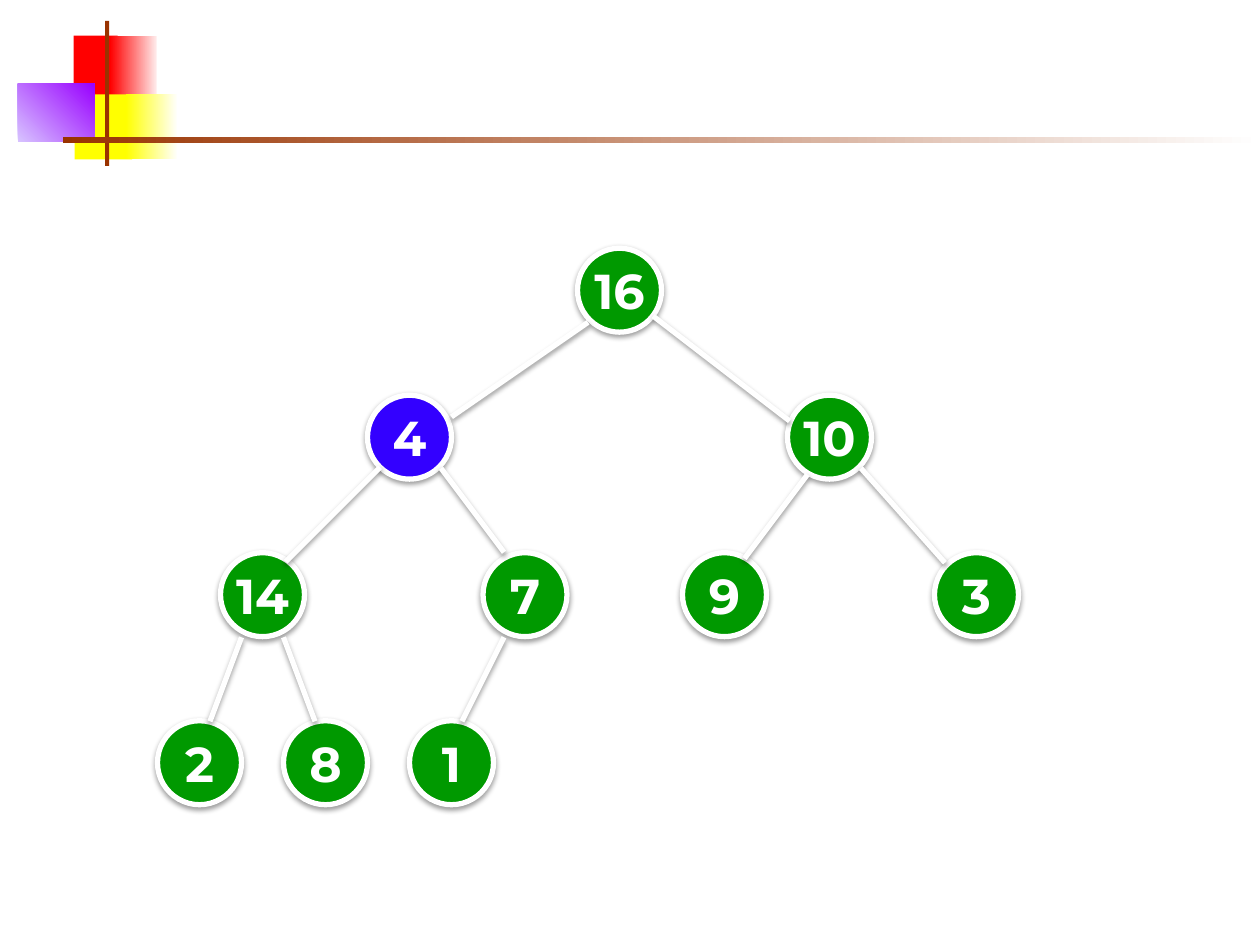
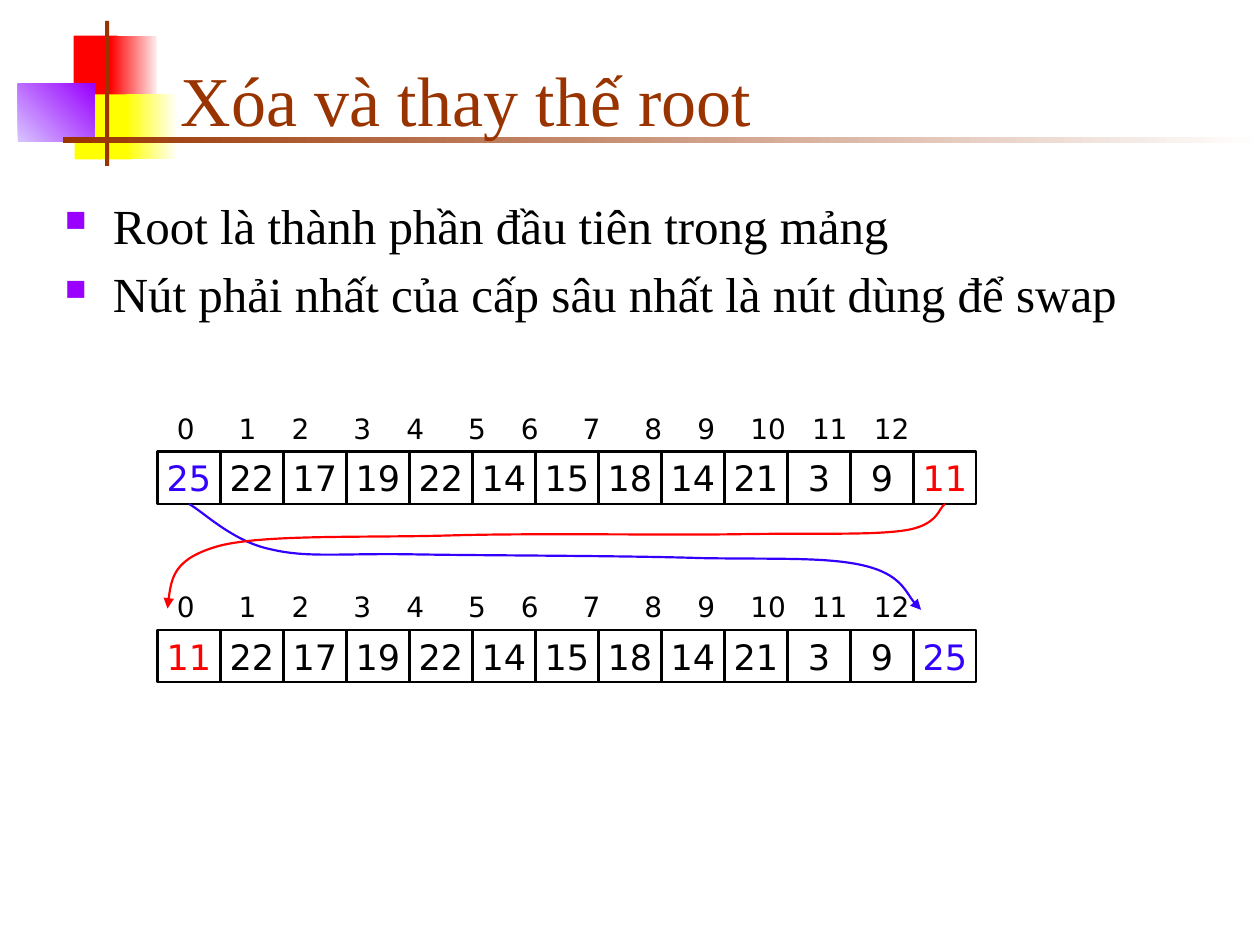
from itertools import accumulate

from lxml.etree import SubElement
from pptx import Presentation
from pptx.dml.color import RGBColor
from pptx.enum.shapes import MSO_CONNECTOR as CONNECTOR, MSO_SHAPE as SHAPE
from pptx.enum.text import MSO_ANCHOR as ANCHOR, MSO_AUTO_SIZE as AUTO_SIZE, PP_ALIGN as ALIGN
from pptx.oxml.ns import qn
from pptx.util import Inches, Pt

# The slide is a grid of 120 columns by 90 rows
COLUMNS, ROWS = 120, 90
WIDTH, HEIGHT = Inches(10), Inches(7.5)

WHITE, BLACK, RED, BLUE = "FFFFFF", "000000", "FF0000", "3300FF"
GREEN, BROWN, YELLOW, PURPLE = "009900", "993300", "FFFF00", "9900FF"
SERIF, SANS, ROUND = "Times New Roman", "DejaVu Sans", "Montserrat"

# Decoration: column, row, width, height, colours, angle
BANDS = [
    (7, 3.4, 4.2, 6.2, [RED], 0),
    (10.5, 3.4, 4.4, 6.2, [RED, "FFEAEA"], 0),
    (7.1, 9, 5.5, 6.2, [YELLOW], 0),
    (12, 9, 4.8, 6.2, [YELLOW, "FFFFF8"], 0),
    (1.7, 8, 7.3, 5.5, ["D8C4FF", PURPLE], 45),
    (10, 2, 0.4, 13.8, [BROWN], 0),
    (6, 13, 114, 0.6, [BROWN, WHITE], 0),
]

# Heap levels: top row, then value and left column of each node
NODE_SIZE = 8
LEVELS = [
    (23.64, [(16, 55)]),
    (37.64, [(4, 35), (10, 75)]),
    (52.64, [(9, 65), (3, 89), (14, 21), (7, 46)]),
    (68.64, [(2, 15), (8, 27), (1, 39)]),
]
EDGES = [
    ((43, 39.7), (56, 30.7)), ((62.2, 30.1), (75.2, 40.1)),
    ((36.2, 44.5), (27.2, 53.5)), ((42, 44.6), (48, 52.6)),
    ((76.9, 45.2), (70.9, 53.2)), ((82, 44.6), (90, 53.6)),
    ((23, 60.7), (20, 68.7)), ((27, 60.7), (30, 68.7)),
    ((48, 60.7), (44, 68.7)),
]

# Arrays before and after the swap
MIDDLE = [22, 17, 19, 22, 14, 15, 18, 14, 21, 3, 9]
CELL_LEFT, CELL_WIDTH, CELL_HEIGHT = 15, 6, 5
# Index labels: each gap is counted in space widths
LABEL_GAPS = [5, 4, 5, 4, 5, 4, 5, 5, 4, 4, 3, 3]
SPACE, DIGIT = 0.07, 0.14

# Swap curves in inches: a start, then three points for each Bezier piece
BLUE_CURVE = [
    (1.5, 4), (1.61, 4.06), (1.85, 4.3), (2.15, 4.36),
    (2.44, 4.43), (2.71, 4.39), (3.28, 4.4), (3.85, 4.41), (4.98, 4.41), (5.57, 4.43),
    (6.17, 4.44), (6.57, 4.42), (6.86, 4.49), (7.15, 4.56), (7.22, 4.77), (7.31, 4.84),
]
RED_CURVE = [
    (7.5, 4), (7.45, 4.03), (7.45, 4.17), (7.18, 4.21),
    (6.91, 4.25), (6.47, 4.23), (5.88, 4.24), (5.28, 4.25), (4.27, 4.23), (3.58, 4.25),
    (2.9, 4.27), (2.12, 4.24), (1.75, 4.33), (1.38, 4.43), (1.35, 4.63), (1.33, 4.83),
]


def colour(code):
    return RGBColor.from_string(code)


def col(count):
    return round(WIDTH * count / COLUMNS)


def row(count):
    return round(HEIGHT * count / ROWS)


def area(left, top, width, height):
    return col(left), row(top), col(width), row(height)


def add_span(para, text, size, font, code, bold=False):
    span = para.add_run()
    span.text = text
    span.font.size, span.font.name, span.font.bold = Pt(size), font, bold
    span.font.color.rgb = colour(code)


def set_line(shape, code, width):
    shape.line.color.rgb = colour(code)
    shape.line.width = Pt(width)


def add_shadow(shape):
    """Give a soft shadow that falls straight down."""
    effects = SubElement(shape._element.spPr, qn("a:effectLst"))
    shadow = SubElement(effects, qn("a:outerShdw"), blurRad=str(Pt(3.1)),
                        dist=str(Pt(1.6)), dir="5400000", rotWithShape="0")
    black = SubElement(shadow, qn("a:srgbClr"), val=BLACK)
    SubElement(black, qn("a:alpha"), val="38000")


def add_band(shapes, place, codes, angle):
    band = shapes.add_shape(SHAPE.RECTANGLE, *area(*place))
    band.shadow.inherit = False
    band.line.fill.background()
    if len(codes) == 1:
        band.fill.solid()
        band.fill.fore_color.rgb = colour(codes[0])
    else:
        band.fill.gradient()
        band.fill.gradient_angle = angle
        for stop, code in zip(band.fill.gradient_stops, codes):
            stop.color.rgb = colour(code)
    return band


def decorate_master(deck, page):
    """Draw the bands on a page and move them to the shared master."""
    tree = deck.slide_master.shapes._spTree
    for number, (*place, codes, angle) in enumerate(BANDS, start=101):
        band = add_band(page.shapes, place, codes, angle)
        band._element.nvSpPr.cNvPr.set("id", str(number))
        tree.append(band._element)


def centre_text(shape, text, *style):
    frame = shape.text_frame
    frame.word_wrap = False
    frame.vertical_anchor = ANCHOR.MIDDLE
    para = frame.paragraphs[0]
    para.alignment = ALIGN.CENTER
    add_span(para, text, *style)


# Heap tree
def add_node(page, value, left, top, code):
    node = page.shapes.add_shape(SHAPE.OVAL, *area(left, top, NODE_SIZE, NODE_SIZE))
    node.fill.solid()
    node.fill.fore_color.rgb = colour(code)
    set_line(node, WHITE, 3)
    add_shadow(node)
    centre_text(node, str(value), 28, ROUND, WHITE, True)


def add_edge(page, start, end):
    edge = page.shapes.add_connector(
        CONNECTOR.STRAIGHT, col(start[0]), row(start[1]), col(end[0]), row(end[1]))
    set_line(edge, WHITE, 3)
    add_shadow(edge)


def draw_heap(page):
    for top, nodes in LEVELS:
        for value, left in nodes:
            add_node(page, value, left, top, BLUE if value == 4 else GREEN)
    for start, end in EDGES:
        add_edge(page, start, end)


# Title and bullets
def set_title(page, text):
    title = page.shapes.title
    title.left, title.top, title.width, title.height = area(16, 3, 102.2, 11)
    frame = title.text_frame
    frame.auto_size = AUTO_SIZE.NONE
    frame.vertical_anchor = ANCHOR.BOTTOM
    para = frame.paragraphs[0]
    para.alignment = ALIGN.LEFT
    add_span(para, text, 40, SERIF, BROWN)


def set_bullet(para):
    props = para._p.get_or_add_pPr()
    props.set("marL", str(Inches(0.38)))
    props.set("indent", str(Inches(-0.38)))
    before = SubElement(props, qn("a:spcBef"))
    SubElement(before, qn("a:spcPct"), val="20000")
    tint = SubElement(props, qn("a:buClr"))
    SubElement(tint, qn("a:srgbClr"), val=PURPLE)
    SubElement(props, qn("a:buSzPct"), val="60000")
    SubElement(props, qn("a:buChar"), char="■")


def add_bullets(page, lines):
    frame = page.shapes.add_textbox(*area(5, 18, 112.5, 62.5)).text_frame
    frame.word_wrap = True
    for number, line in enumerate(lines):
        para = frame.add_paragraph() if number else frame.paragraphs[0]
        set_bullet(para)
        add_span(para, line, 28, SERIF, BLACK)


# Arrays
def add_labels(shapes, top):
    """Write the indexes on tab stops, spaced by the label gaps."""
    frame = shapes.add_textbox(*area(14, top, 83, 4.4)).text_frame
    frame.word_wrap = True
    para = frame.paragraphs[0]
    tabs = SubElement(para._p.get_or_add_pPr(), qn("a:tabLst"))
    steps = [gap * SPACE + DIGIT * len(str(index)) for index, gap in enumerate(LABEL_GAPS)]
    for stop in accumulate(steps, initial=2 * SPACE):
        SubElement(tabs, qn("a:tab"), pos=str(Inches(stop)), algn="l")
    text = "".join(f"\t{index}" for index in range(len(LABEL_GAPS) + 1))
    add_span(para, text, 16, SANS, BLACK)


def add_array(shapes, top, values):
    ink = {25: BLUE, 11: RED}
    for index, value in enumerate(values):
        place = area(CELL_LEFT + index * CELL_WIDTH, top, CELL_WIDTH, CELL_HEIGHT)
        cell = shapes.add_shape(SHAPE.RECTANGLE, *place)
        cell.shadow.inherit = False
        cell.fill.background()
        set_line(cell, BLACK, 1.25)
        centre_text(cell, str(value), 20, SANS, ink.get(value, BLACK))
    add_labels(shapes, top - 4.4)


def add_curve(shapes, points, code):
    """Build an outline and join each three line pieces into one Bezier."""
    start, *rest = [(Inches(x), Inches(y)) for x, y in points]
    builder = shapes.build_freeform(*start)
    builder.add_line_segments(rest, close=False)
    curve = builder.convert_to_shape()
    curve.shadow.inherit = False
    curve.fill.background()
    set_line(curve, code, 1.25)
    SubElement(curve.line._get_or_add_ln(), qn("a:tailEnd"), type="triangle")
    outline = curve._element.xpath(".//a:path")[0]
    pieces = outline.findall(qn("a:lnTo"))
    for first in range(0, len(pieces), 3):
        bezier = SubElement(outline, qn("a:cubicBezTo"))
        for piece in pieces[first:first + 3]:
            bezier.append(piece[0])
            outline.remove(piece)


def draw_swap(page):
    set_title(page, "Xóa và thay thế root")
    add_bullets(page, [
        "Root là thành phần đầu tiên trong mảng",
        "Nút phải nhất của cấp sâu nhất là nút dùng để swap",
    ])
    before = page.shapes.add_group_shape().shapes
    add_array(before, 43, [25, *MIDDLE, 11])
    after = page.shapes.add_group_shape().shapes
    add_array(after, 60, [11, *MIDDLE, 25])
    add_curve(after, BLUE_CURVE, BLUE)
    add_curve(after, RED_CURVE, RED)


def main():
    deck = Presentation()
    deck.slide_width, deck.slide_height = WIDTH, HEIGHT
    title_only, blank = deck.slide_layouts[5], deck.slide_layouts[6]
    heap_page = deck.slides.add_slide(blank)
    decorate_master(deck, heap_page)
    draw_heap(heap_page)
    draw_swap(deck.slides.add_slide(title_only))
    deck.save("out.pptx")


main()
